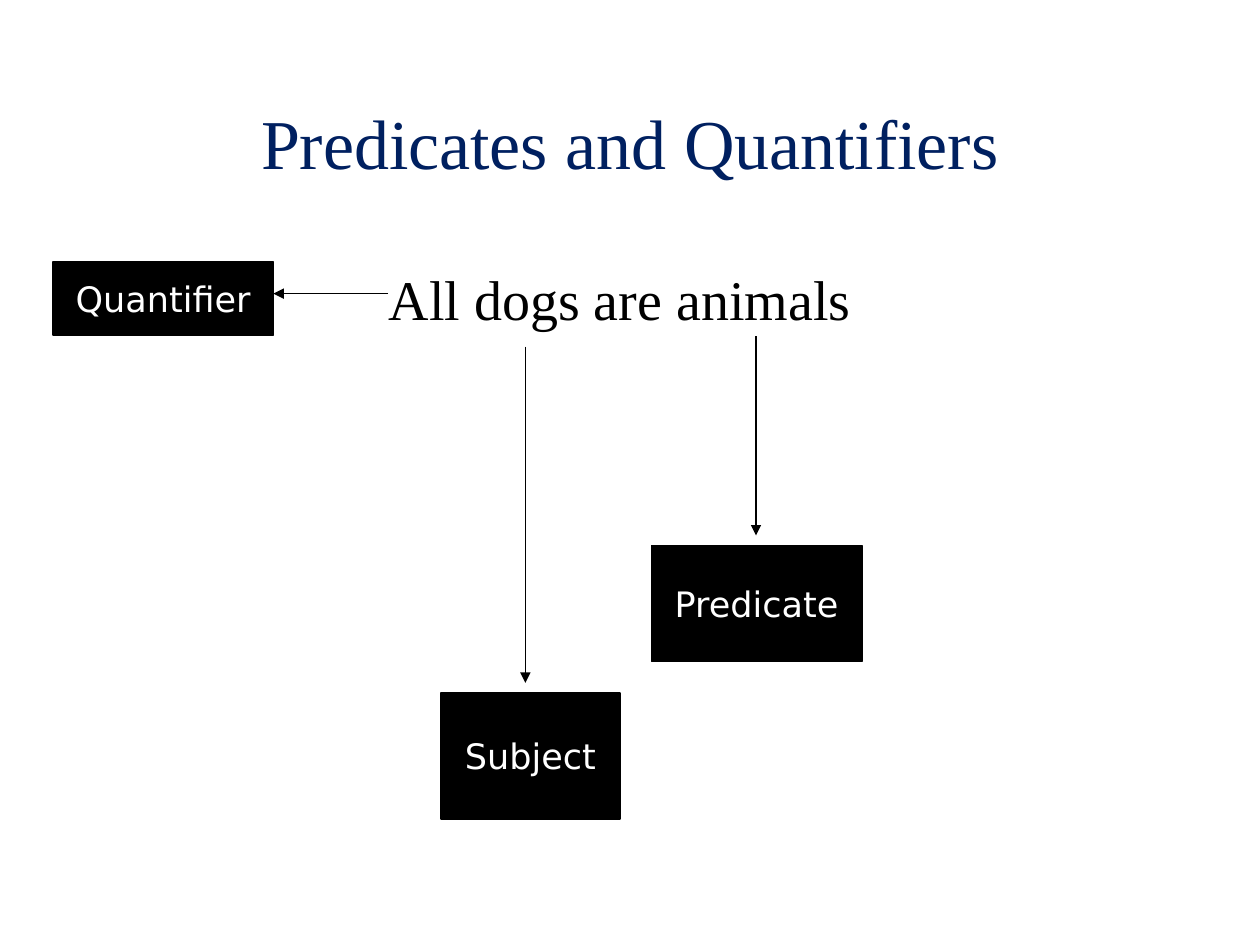
from lxml.etree import SubElement
from pptx import Presentation
from pptx.dml.color import RGBColor
from pptx.enum.shapes import MSO_CONNECTOR, MSO_SHAPE
from pptx.enum.text import MSO_ANCHOR, PP_ALIGN
from pptx.oxml.ns import qn
from pptx.util import Inches, Pt

COLORS = {"title": "002060", "ink": "000000", "label": "FFFFFF"}
SERIF = "Times New Roman"
SANS = "DejaVu Sans"


class SlideBuilder:
    def __init__(self, presentation):
        self.slide = presentation.slides.add_slide(presentation.slide_layouts[5])

    def color(self, name):
        return RGBColor.from_string(COLORS[name])

    def set_text(self, shape, text, size, font_name, color, anchor=MSO_ANCHOR.MIDDLE):
        frame = shape.text_frame
        frame.word_wrap = True
        frame.vertical_anchor = anchor
        paragraph = frame.paragraphs[0]
        paragraph.text = text
        paragraph.alignment = PP_ALIGN.CENTER
        paragraph.font.size = Pt(size)
        paragraph.font.name = font_name
        paragraph.font.color.rgb = self.color(color)

    def title(self, text, left, top, width, height):
        shape = self.slide.shapes.title
        shape.left, shape.top = Inches(left), Inches(top)
        shape.width, shape.height = Inches(width), Inches(height)
        self.set_text(shape, text, 40, SERIF, "title")

    def sentence(self, text, left, top, width, height):
        shape = self.slide.shapes.add_textbox(
            Inches(left), Inches(top), Inches(width), Inches(height))
        self.set_text(shape, text, 32, SERIF, "ink", MSO_ANCHOR.TOP)

    def box(self, text, left, top, width, height):
        shape = self.slide.shapes.add_shape(
            MSO_SHAPE.RECTANGLE, Inches(left), Inches(top), Inches(width), Inches(height))
        shape.shadow.inherit = False
        shape.fill.solid()
        shape.fill.fore_color.rgb = self.color("ink")
        shape.line.color.rgb = self.color("ink")
        shape.line.width = Pt(1)
        self.set_text(shape, text, 20, SANS, "label")

    def arrow(self, start_x, start_y, end_x, end_y):
        connector = self.slide.shapes.add_connector(
            MSO_CONNECTOR.STRAIGHT,
            Inches(start_x), Inches(start_y), Inches(end_x), Inches(end_y))
        connector.line.color.rgb = self.color("ink")
        connector.line.width = Pt(1)
        properties = connector._element.spPr
        SubElement(properties.find(qn("a:ln")), qn("a:tailEnd"), type="triangle")
        SubElement(properties, qn("a:effectLst"))


def main():
    presentation = Presentation()
    presentation.slide_width, presentation.slide_height = Inches(10), Inches(7.5)
    builder = SlideBuilder(presentation)

    builder.title("Predicates and Quantifiers", 0.75, 0.5, 8.5, 1.25)
    builder.sentence("All dogs are animals", 0.42, 2.05, 9, 0.6)

    builder.box("Quantifier", 0.42, 2.08, 1.75, 0.58)
    builder.box("Subject", 3.5, 5.5, 1.42, 1)
    builder.box("Predicate", 5.17, 4.33, 1.67, 0.92)

    builder.arrow(3.08, 2.33, 2.17, 2.33)
    builder.arrow(4.17, 2.75, 4.17, 5.42)
    builder.arrow(6, 2.67, 6, 4.25)

    presentation.save("out.pptx")


if __name__ == "__main__":
    main()
